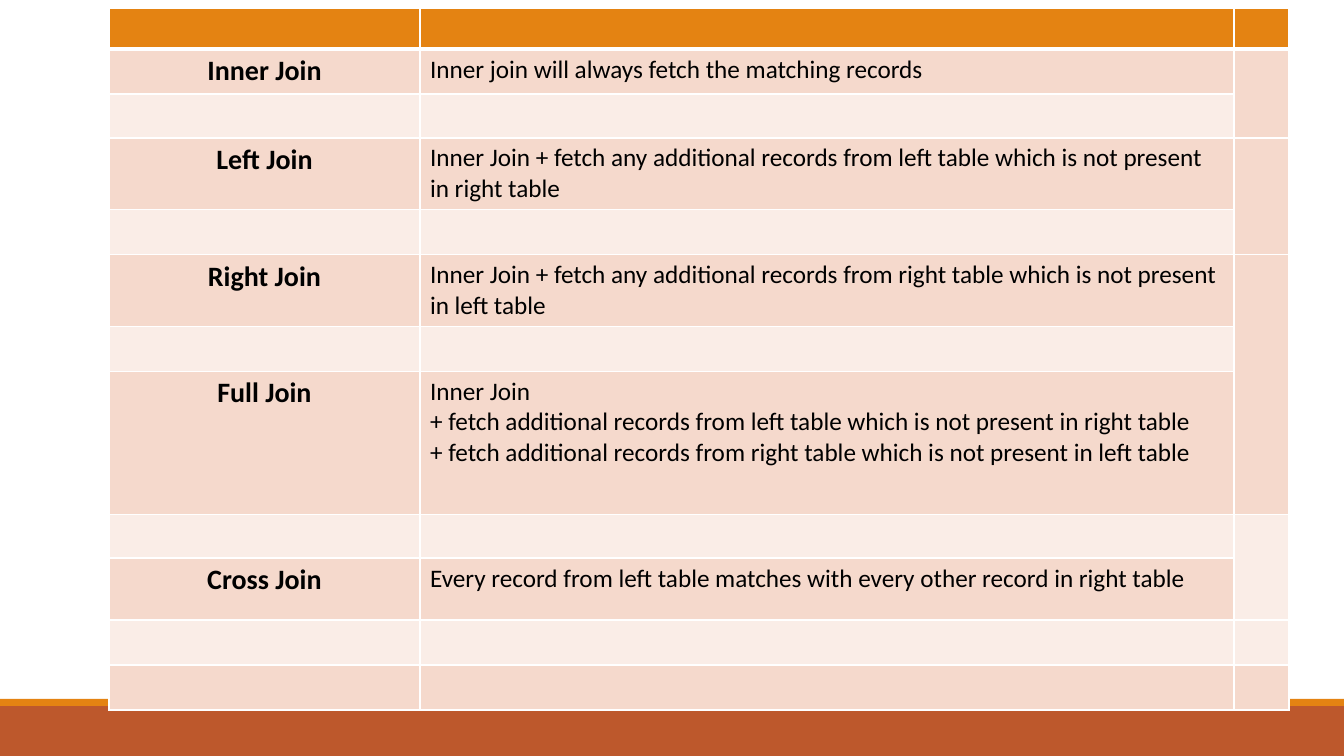
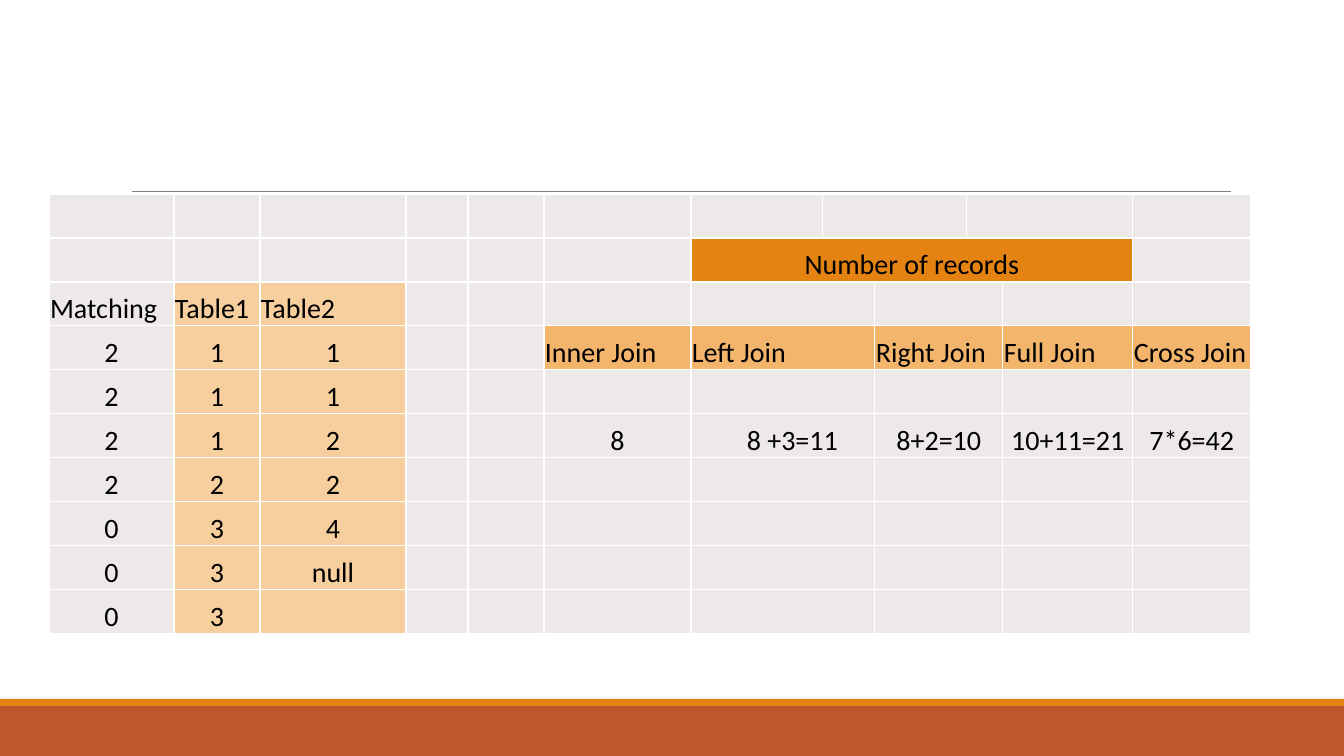
from lxml.etree import SubElement
from pptx import Presentation
from pptx.dml.color import RGBColor
from pptx.enum.shapes import MSO_CONNECTOR as Connector, MSO_SHAPE as Shape
from pptx.enum.text import MSO_ANCHOR as Anchor, PP_ALIGN as Align
from pptx.oxml import parse_xml
from pptx.oxml.ns import nsdecls, qn
from pptx.util import Pt

SCALE = 914400 / 100.8
WIDTH, HEIGHT = 1344, 756
FONT = "Calibri"
COLORS = {
    "text": "000000",
    "border": "FFFFFF",
    "rule": "808080",
    "footer": "BD582C",
    "accent": "E48312",
    "band_dark": "F5D9CC",
    "band_light": "FAEDE7",
    "grid": "EDE9E8",
    "source_table": "F7CE9D",
    "join_heading": "F3B56C",
}

JOIN_COLUMNS = [311, 814, 55]
JOIN_ROWS = [41, 45, 44, 71, 45, 71, 45, 143, 44, 62, 45, 45]
JOIN_SPANS = [(1, 2), (3, 4), (5, 7), (8, 9)]
JOINS = {
    1: ("Inner Join", ["Inner join will always fetch the matching records"]),
    3: ("Left Join", ["Inner Join + fetch any additional records from left table "
                      "which is not present in right table"]),
    5: ("Right Join", ["Inner Join + fetch any additional records from right table "
                       "which is not present in left table"]),
    7: ("Full Join", [
        "Inner Join",
        "+ fetch additional records from left table which is not present in right table",
        "+ fetch additional records from right table which is not present in left table",
    ]),
    9: ("Cross Join", ["Every record from left table matches with every other record "
                       "in right table"]),
}

COUNT_COLUMNS = [125, 86, 146, 62, 76, 147, 132, 52, 92, 36, 130, 118]
COUNT_ROWS = [44] * 10
SOURCE_COLUMNS = [
    ("Matching", ["2", "2", "2", "2", "0", "0", "0"]),
    ("Table1", ["1", "1", "1", "2", "3", "3", "3"]),
    ("Table2", ["1", "1", "2", "2", "4", "null"]),
]
RECORD_COUNTS = {
    5: ("Inner Join", "8"),
    6: ("Left Join", "8 +3=11"),
    8: ("Right Join", "8+2=10"),
    10: ("Full Join", "10+11=21"),
    11: ("Cross Join", "7*6=42"),
}


def px(length):
    return round(length * SCALE)


def color(name):
    return RGBColor.from_string(COLORS[name])


def add_bar(slide, top, height, fill):
    bar = slide.shapes.add_shape(Shape.RECTANGLE, 0, px(top), px(WIDTH), px(height))
    bar.shadow.inherit = False
    bar.fill.solid()
    bar.fill.fore_color.rgb = color(fill)
    bar.line.fill.background()


def add_base_slide(presentation):
    slide = presentation.slides.add_slide(presentation.slide_layouts[6])
    add_bar(slide, 706, 50, "footer")
    add_bar(slide, 699, 7, "accent")
    rule = slide.shapes.add_connector(
        Connector.STRAIGHT, px(132), px(191), px(1231), px(191))
    rule.line.color.rgb = color("rule")
    rule.line.width = Pt(0.5)
    SubElement(rule._element.spPr, qn("a:effectLst"))
    return slide


def set_borders(cell, top=1, bottom=1):
    properties = cell._tc.get_or_add_tcPr()
    sides = [("lnL", 1), ("lnR", 1), ("lnT", top), ("lnB", bottom)]
    for index, (side, width) in enumerate(sides):
        properties.insert(index, parse_xml(
            f'<a:{side} {nsdecls("a")} w="{Pt(width)}"><a:solidFill>'
            f'<a:srgbClr val="{COLORS["border"]}"/></a:solidFill></a:{side}>'))


def add_grid(slide, left, top, columns, rows, fill_at, header_line=1):
    frame = slide.shapes.add_table(
        len(rows), len(columns), px(left), px(top), px(sum(columns)), px(sum(rows)))
    table = frame.table
    table.first_row = False
    table.horz_banding = False
    for column, width in zip(table.columns, columns):
        column.width = px(width)
    for row, height in zip(table.rows, rows):
        row.height = px(height)
    for row in range(len(rows)):
        for column in range(len(columns)):
            cell = table.cell(row, column)
            cell.fill.solid()
            cell.fill.fore_color.rgb = color(fill_at(row, column))
            set_borders(cell, header_line if row == 1 else 1,
                        header_line if row == 0 else 1)
    return table


def write(cell, lines, size, align=Align.LEFT, bold=False):
    for index, line in enumerate(lines):
        text_frame = cell.text_frame
        paragraph = text_frame.add_paragraph() if index else text_frame.paragraphs[0]
        paragraph.alignment = align
        run = paragraph.add_run()
        run.text = line
        run.font.name = FONT
        run.font.size = Pt(size)
        run.font.bold = bold
        run.font.color.rgb = color("text")


def write_count(cell, text, align=Align.CENTER):
    cell.vertical_anchor = Anchor.BOTTOM
    cell.margin_left = cell.margin_right = cell.margin_top = px(1)
    cell.margin_bottom = 0
    write(cell, [text], 20, align)


def join_fill(row, column):
    if row == 0:
        return "accent"
    return "band_dark" if row % 2 else "band_light"


def count_fill(row, column):
    if row == 1 and 6 <= column <= 10:
        return "accent"
    if row == 3 and column >= 5:
        return "join_heading"
    if row >= 2 and column in (1, 2):
        return "source_table"
    return "grid"


def add_join_table(slide, left, top):
    table = add_grid(slide, left, top, JOIN_COLUMNS, JOIN_ROWS, join_fill, header_line=3)
    for first, last in JOIN_SPANS:
        table.cell(first, 2).merge(table.cell(last, 2))
    for row, (name, description) in JOINS.items():
        write(table.cell(row, 0), [name], 20, Align.CENTER, bold=True)
        write(table.cell(row, 1), description, 18)


def add_count_table(slide, left, top):
    table = add_grid(slide, left, top, COUNT_COLUMNS, COUNT_ROWS, count_fill)
    spans = [(0, 7, 8), (0, 9, 10), (1, 6, 10)]
    spans += [(row, first, first + 1)
              for row in range(2, len(COUNT_ROWS)) for first in (6, 8)]
    for row, first, last in spans:
        table.cell(row, first).merge(table.cell(row, last))
    write_count(table.cell(1, 6), "Number of records")
    for column, (heading, values) in enumerate(SOURCE_COLUMNS):
        write_count(table.cell(2, column), heading, Align.LEFT)
        for row, value in enumerate(values, 3):
            write_count(table.cell(row, column), value)
    for column, (heading, count) in RECORD_COUNTS.items():
        write_count(table.cell(3, column), heading, Align.LEFT)
        write_count(table.cell(5, column), count)
    table.cell(5, 6).margin_left = px(20)


def main():
    presentation = Presentation()
    presentation.slide_width = px(WIDTH)
    presentation.slide_height = px(HEIGHT)
    add_join_table(add_base_slide(presentation), 109, 8)
    add_count_table(add_base_slide(presentation), 49, 194)
    presentation.save("out.pptx")


if __name__ == "__main__":
    main()
